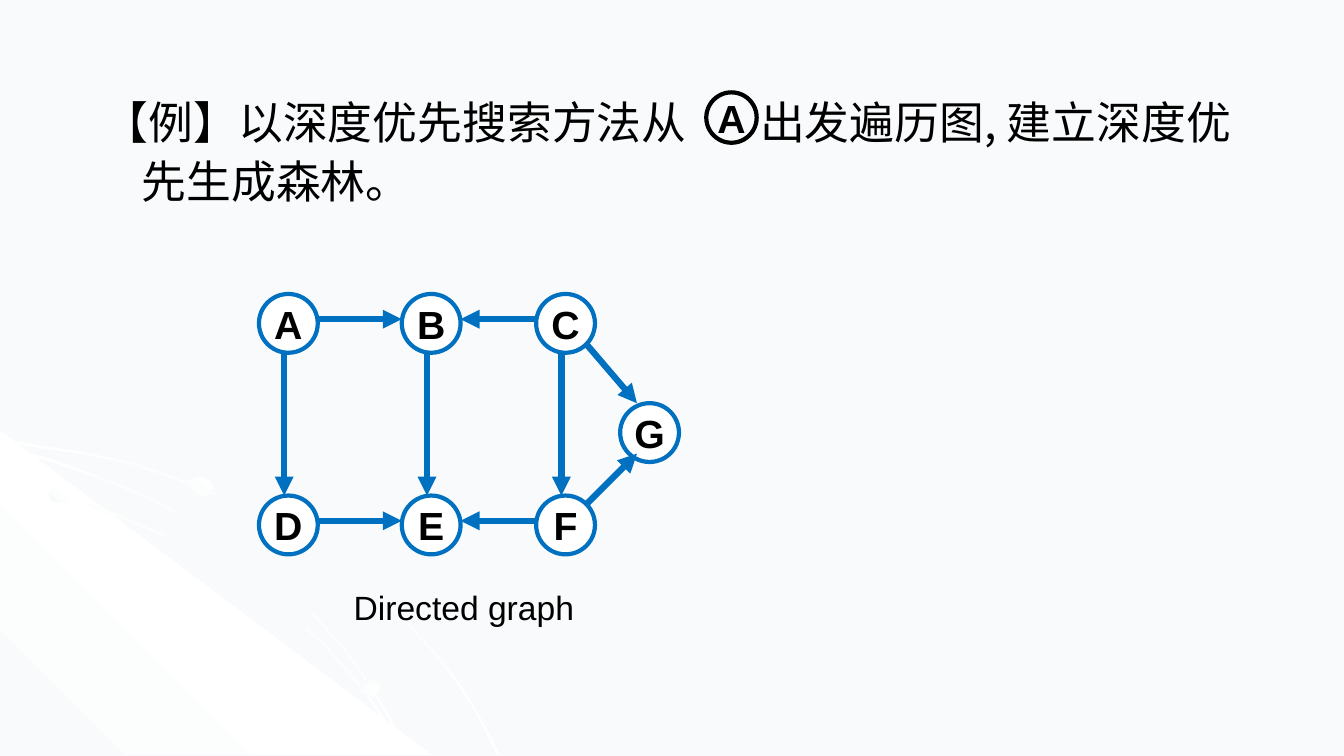
from lxml.etree import SubElement
from pptx import Presentation
from pptx.dml.color import RGBColor
from pptx.enum.shapes import MSO_CONNECTOR, MSO_SHAPE
from pptx.enum.text import MSO_ANCHOR, MSO_AUTO_SIZE, PP_ALIGN
from pptx.oxml.ns import qn
from pptx.util import Pt

BACKGROUND = RGBColor(0xF9, 0xFA, 0xFB)
WHITE = RGBColor(0xFF, 0xFF, 0xFF)
BLACK = RGBColor(0, 0, 0)
BLUE = RGBColor(0x00, 0x70, 0xC0)


def soften(shape, colours, angle):
    """Fill with evenly spaced gradient colours; angle runs clockwise in degrees."""
    shape.shadow.inherit = False
    shape.line.fill.background()
    shape.fill.gradient()
    gradient = shape.fill._xPr.find(qn("a:gradFill"))
    for child in list(gradient):
        gradient.remove(child)
    stops = SubElement(gradient, qn("a:gsLst"))
    for index, colour in enumerate(colours):
        position = 100000 * index // (len(colours) - 1)
        stop = SubElement(stops, qn("a:gs"), pos=str(position))
        SubElement(stop, qn("a:srgbClr"), val=str(colour))
    SubElement(gradient, qn("a:lin"), ang=str(angle * 60000), scaled="0")


def add_node(shapes, letter, left, top, size, colour):
    node = shapes.add_shape(MSO_SHAPE.OVAL, Pt(left), Pt(top), Pt(size), Pt(size))
    node.shadow.inherit = False
    node.line.color.rgb = colour
    node.line.width = Pt(3)
    frame = node.text_frame
    frame.word_wrap = False
    frame.vertical_anchor = MSO_ANCHOR.MIDDLE
    para = frame.paragraphs[0]
    para.alignment = PP_ALIGN.CENTER
    span = para.add_run()
    span.text = letter
    span.font.name = "Arial"
    span.font.size = Pt(28)
    span.font.bold = True
    span.font.color.rgb = BLACK
    return node


deck = Presentation()
deck.slide_width = Pt(960)
deck.slide_height = Pt(540)
page = deck.slides.add_slide(deck.slide_layouts[1])
page.background.fill.solid()
page.background.fill.fore_color.rgb = BACKGROUND
title = page.shapes.title
title.element.getparent().remove(title.element)

# Corner decoration: a corner wedge, three curved streaks and three dots
outer_streak = [(0, 313), (27, 318), (55, 322), (94, 330), (131, 343), (167, 358),
                (201, 375), (232, 395), (261, 416), (288, 441), (312, 467),
                (326, 485), (338, 503), (348, 521), (357, 539)]
lower_streak = [(0, 342), (39, 351), (76, 364), (112, 379), (146, 395), (177, 415),
                (206, 436), (233, 461), (256, 487), (275, 513), (284, 526), (291, 539)]
upper_streak = [(0, 318), (37, 328), (73, 341), (107, 355), (138, 372), (168, 391),
                (196, 413), (220, 434), (244, 460), (258, 479), (271, 499),
                (282, 518), (291, 539)]
wedge = [(0, 307.5), (309, 539.5), (0, 539.5)]

corner = page.shapes.add_group_shape()
for curve in (outer_streak, wedge, lower_streak, upper_streak):
    outline = list(curve)
    if curve is not wedge:
        # The second edge turns from below the curve to its left
        last = len(curve) - 1
        edge = [(x - 2 * i / last, y + 2 - 2 * i / last) for i, (x, y) in enumerate(curve)]
        outline += reversed(edge)
    points = [(Pt(x), Pt(y)) for x, y in outline]
    builder = corner.shapes.build_freeform(*points[0])
    builder.add_line_segments(points[1:], close=True)
    shape = builder.convert_to_shape()
    if curve is wedge:
        soften(shape, (BACKGROUND, WHITE, BACKGROUND), 315)
    else:
        soften(shape, (WHITE, BACKGROUND, WHITE), 45)

for left, top, width, height, angle in ((34.5, 348, 14.5, 11, 315),
                                        (256.5, 485.5, 15, 11.5, 45),
                                        (132, 340.5, 20, 15, 315)):
    dot = corner.shapes.add_shape(MSO_SHAPE.OVAL, Pt(left), Pt(top), Pt(width), Pt(height))
    soften(dot, (BACKGROUND, WHITE), angle)

# Exercise text, with one widened space where the circled A stands
body = page.placeholders[1]
body.left, body.top, body.width, body.height = Pt(67), Pt(60), Pt(831), Pt(415)
body.text_frame.auto_size = MSO_AUTO_SIZE.NONE
body.text_frame.vertical_anchor = MSO_ANCHOR.TOP
para = body.text_frame.paragraphs[0]
properties = para._p.get_or_add_pPr()
properties.set("marL", str(Pt(27)))
properties.set("indent", str(Pt(-27)))
SubElement(properties, qn("a:buNone"))
para.line_spacing = 1.1
para.space_before = Pt(0)
for text in ("【例】以深度优先搜索方法从", " ", "出发遍历图, 建立深度优先生成森林。"):
    span = para.add_run()
    span.text = text
    span.font.size = Pt(32)
    span.font.color.rgb = BLACK
    span.font.name = "Noto Sans CJK SC"
    run_properties = span._r.get_or_add_rPr()
    SubElement(run_properties, qn("a:ea"), typeface="Noto Sans CJK SC")
    if text == " ":
        run_properties.set("spc", "4500")

start_node = add_node(page.shapes, "A", 504.5, 66, 36, BLACK)
start_node.fill.background()

caption = page.shapes.add_textbox(Pt(245.5), Pt(415.5), Pt(178.5), Pt(36))
caption.text_frame.word_wrap = False
caption.text_frame.auto_size = MSO_AUTO_SIZE.SHAPE_TO_FIT_TEXT
span = caption.text_frame.paragraphs[0].add_run()
span.text = "Directed graph"
span.font.name = "Arial"
span.font.size = Pt(24)
span.font.color.rgb = BLACK

# Directed graph
NODE = 42
TRACK = 18  # distance of a straight edge from the node's left or top
columns = (185, 287, 383)
rows = (210, 354)
places = {"G": (443, 288)}
for top, letters in zip(rows, ("ABC", "DEF")):
    for left, letter in zip(columns, letters):
        places[letter] = (left, top)

graph = page.shapes.add_group_shape()
for letter, (left, top) in sorted(places.items()):
    node = add_node(graph.shapes, letter, left, top, NODE, BLUE)
    node.fill.solid()
    node.fill.fore_color.rgb = WHITE

edges = [(419, 246, 455, 288), (419, 360, 455, 324)]  # C to G, F to G
for source, target in ("AB", "CB", "DE", "FE", "AD", "BE", "CF"):
    (x1, y1), (x2, y2) = places[source], places[target]
    if x1 == x2:
        edges.append((x1 + TRACK, y1 + NODE, x2 + TRACK, y2))
    elif x1 < x2:
        edges.append((x1 + NODE, y1 + TRACK, x2, y2 + TRACK))
    else:
        edges.append((x1, y1 + TRACK, x2 + NODE, y2 + TRACK))

for edge in edges:
    arrow = graph.shapes.add_connector(MSO_CONNECTOR.STRAIGHT, *map(Pt, edge))
    arrow.line.color.rgb = BLUE
    arrow.line.width = Pt(4.5)
    SubElement(arrow.line._get_or_add_ln(), qn("a:tailEnd"), type="triangle")
    SubElement(arrow._element.spPr, qn("a:effectLst"))

deck.save("out.pptx")
